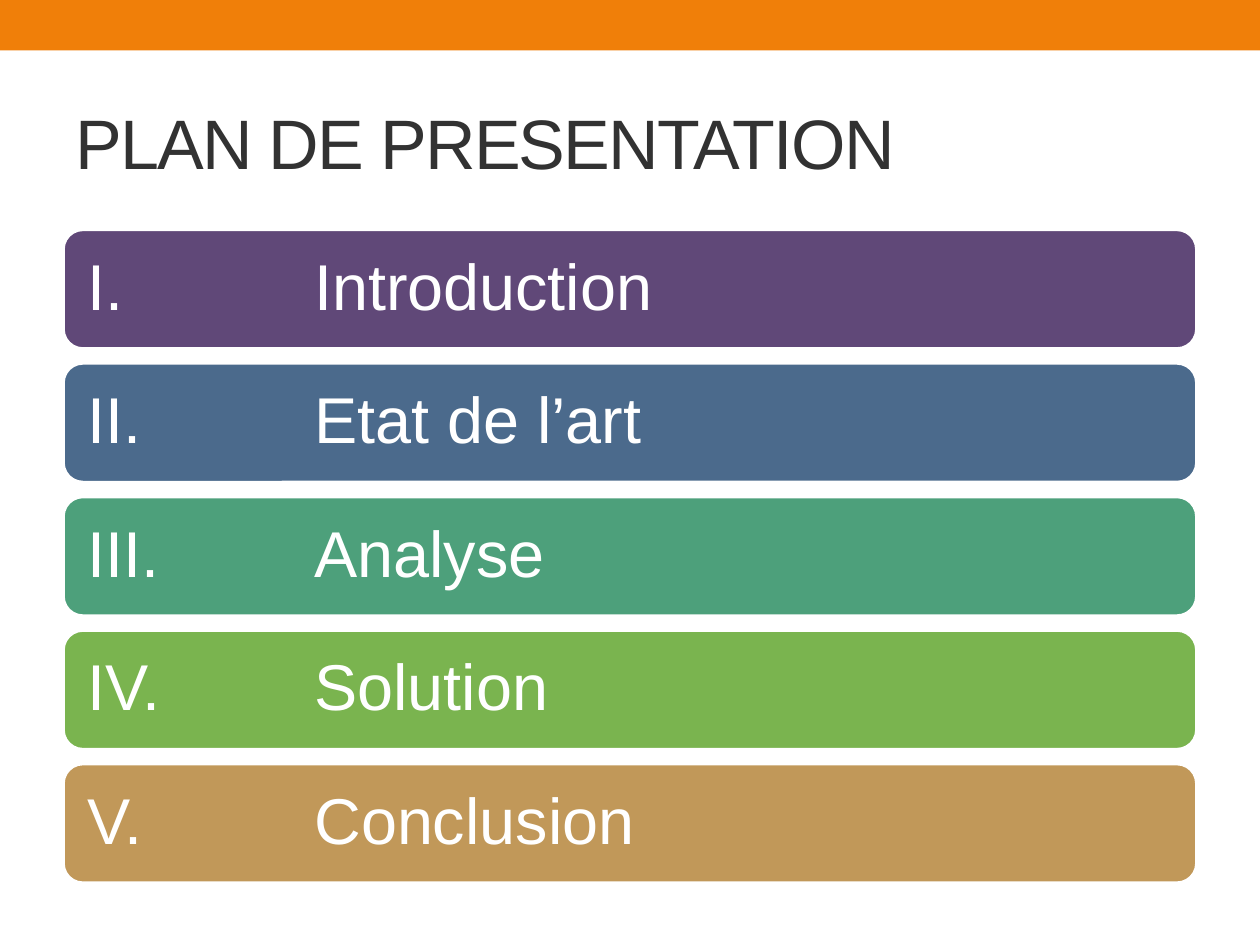
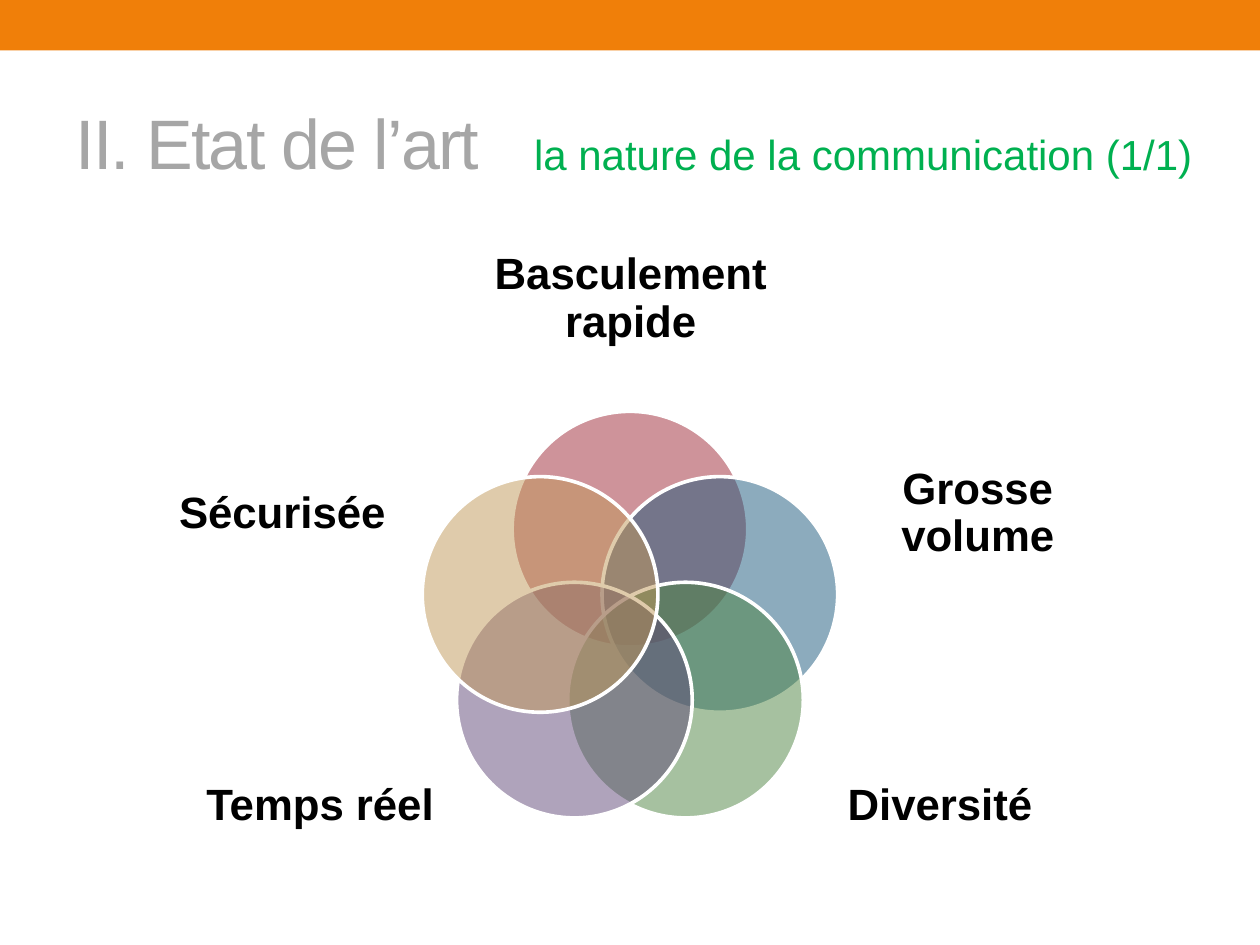
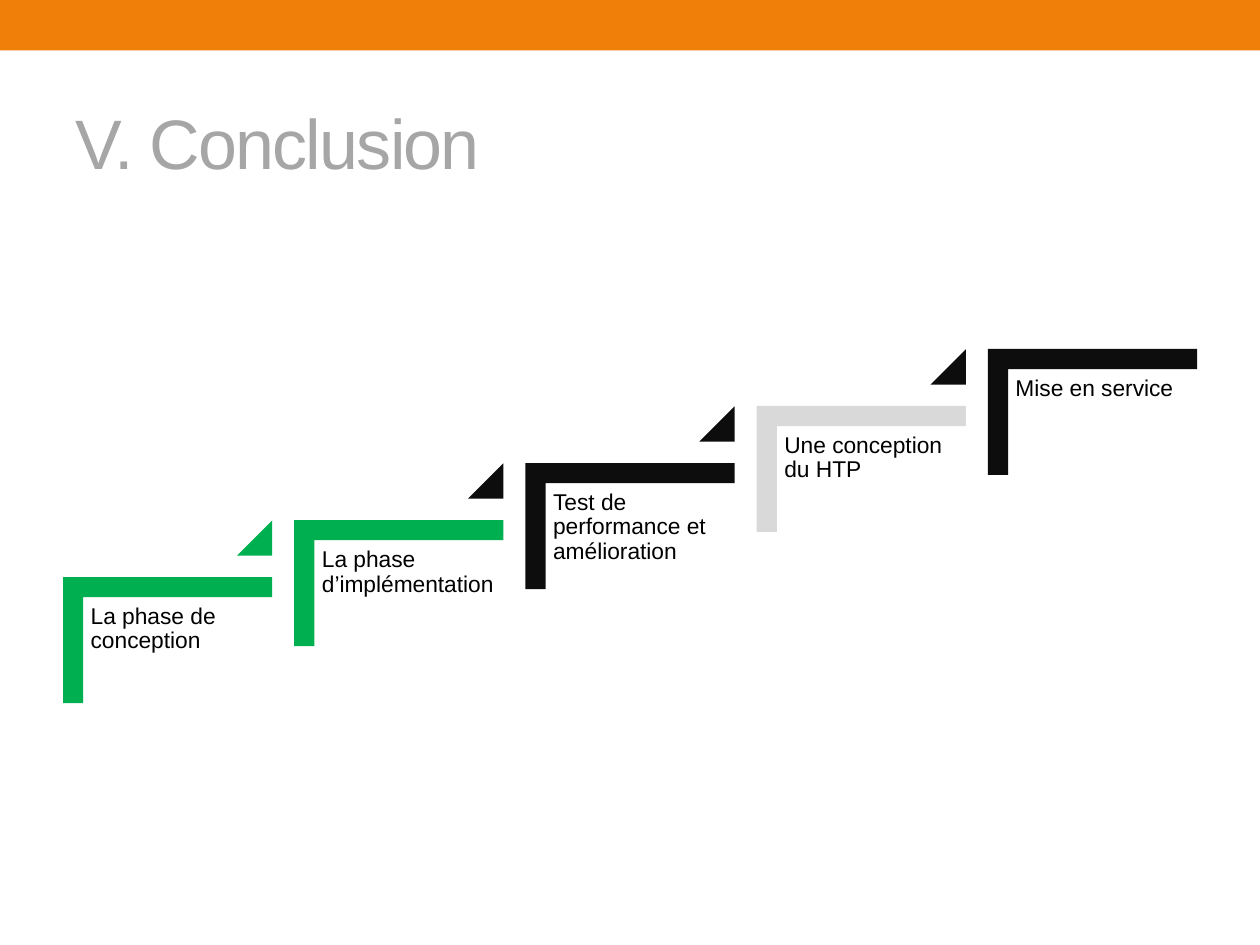
from math import cos, radians, sin

from lxml.etree import SubElement
from pptx import Presentation
from pptx.dml.color import RGBColor
from pptx.enum.shapes import MSO_SHAPE
from pptx.enum.text import MSO_ANCHOR, MSO_AUTO_SIZE, PP_ALIGN
from pptx.oxml.ns import qn
from pptx.util import Inches, Pt

FONT = "Arial"
WHITE = RGBColor(0xFF, 0xFF, 0xFF)
BLACK = RGBColor(0x00, 0x00, 0x00)
ORANGE = RGBColor(0xF0, 0x7F, 0x09)
DARK_GREY = RGBColor(0x32, 0x32, 0x32)
MID_GREY = RGBColor(0xA6, 0xA6, 0xA6)
LIGHT_GREY = RGBColor(0xD9, 0xD9, 0xD9)
NEAR_BLACK = RGBColor(0x0D, 0x0D, 0x0D)
BRIGHT_GREEN = RGBColor(0x00, 0xB0, 0x50)
PURPLE = RGBColor(0x60, 0x48, 0x78)
SLATE = RGBColor(0x4B, 0x6A, 0x8C)
TEAL = RGBColor(0x4D, 0xA0, 0x7B)
LEAF = RGBColor(0x7A, 0xB4, 0x4F)
SAND = RGBColor(0xC1, 0x98, 0x59)
RED = RGBColor(0x9F, 0x29, 0x36)
NAVY = RGBColor(0x1B, 0x58, 0x7C)
GREEN = RGBColor(0x4E, 0x85, 0x42)

PLAN_TITLE = "PLAN DE PRESENTATION"
PLAN = [
    ("I.", "Introduction", PURPLE),
    ("II.", "Etat de l’art", SLATE),
    ("III.", "Analyse", TEAL),
    ("IV.", "Solution", LEAF),
    ("V.", "Conclusion", SAND),
]

NATURE_TITLE = "II. Etat de l’art"
NATURE_SUBTITLE = "la nature de la communication (1/1)"
# Clockwise from the top: label, circle colour, label box
QUALITIES = [
    ("Basculement rapide", RED, (3.92, 1.75, 2.17, 1.25)),
    ("Grosse volume", NAVY, (6.79, 3.4, 1.94, 1.36)),
    ("Diversité", GREEN, (6.49, 5.72, 1.94, 1.36)),
    ("Temps réel", PURPLE, (1.57, 5.72, 1.94, 1.36)),
    ("Sécurisée", SAND, (1.27, 3.4, 1.94, 1.36)),
]

CONCLUSION_TITLE = "V. Conclusion"
# Phase, colour of its step, colour of the triangle that leads on
PHASES = [
    ("La phase de conception", BRIGHT_GREEN, BRIGHT_GREEN),
    ("La phase d’implémentation", BRIGHT_GREEN, NEAR_BLACK),
    ("Test de performance et amélioration", NEAR_BLACK, NEAR_BLACK),
    ("Une conception du HTP", LIGHT_GREY, NEAR_BLACK),
    ("Mise en service", NEAR_BLACK, None),
]


def inches(*lengths):
    return [Inches(length) for length in lengths]


def add_figure(slide, preset, box, fill, outline=None):
    figure = slide.shapes.add_shape(preset, *inches(*box))
    figure.shadow.inherit = False
    figure.fill.solid()
    figure.fill.fore_color.rgb = fill
    if outline is None:
        figure.line.fill.background()
    else:
        figure.line.color.rgb = outline
        figure.line.width = Pt(2.08)
    return figure


def write(shape, text, size, color, align=PP_ALIGN.LEFT, bold=False):
    paragraph = shape.text_frame.paragraphs[0]
    paragraph.alignment = align
    run = paragraph.add_run()
    run.text = text
    run.font.name = FONT
    run.font.size = Pt(size)
    run.font.bold = bold
    run.font.color.rgb = color
    return run


def set_frame(shape, margin, anchor):
    """Wrap the text with equal margins and tight lines."""
    frame = shape.text_frame
    frame.word_wrap = True
    frame.vertical_anchor = anchor
    frame.margin_left = frame.margin_right = Inches(margin)
    frame.margin_top = frame.margin_bottom = Inches(margin)
    frame.paragraphs[0].line_spacing = 0.9


def add_label(slide, box, text, size, margin=0, anchor=MSO_ANCHOR.MIDDLE, **style):
    label = slide.shapes.add_textbox(*inches(*box))
    set_frame(label, margin, anchor)
    write(label, text, size, BLACK, **style)


def add_titled_slide(prs, layout, title_text, color):
    slide = prs.slides.add_slide(layout)
    title = slide.shapes.title
    title.text_frame.vertical_anchor = MSO_ANCHOR.MIDDLE
    run = write(title, title_text, 40, color)
    run.font._element.set("spc", "-100")
    return slide


def share_layout(layout, slide):
    """Place the title and the top band on the layout, behind all content."""
    title = layout.placeholders[0]
    title.left, title.top, title.width, title.height = inches(0.5, 0.58, 9, 1.08)
    band = add_figure(slide, MSO_SHAPE.RECTANGLE, (0, 0, 10, 0.4), ORANGE)
    layout.shapes.element.insert(2, band.element)


def draw_plan(slide):
    top, pitch, height = 1.82, 1.06, 0.95
    for row, (number, name, color) in enumerate(PLAN):
        bar = add_figure(slide, MSO_SHAPE.ROUNDED_RECTANGLE,
                         (0.5, top + row * pitch, 9, height), color, WHITE)
        set_frame(bar, 0.15, MSO_ANCHOR.MIDDLE)
        write(bar, f"{number}\t{name}", 37, WHITE)
        properties = bar.text_frame.paragraphs[0]._p.get_or_add_pPr()
        stops = SubElement(properties, qn("a:tabLst"))
        SubElement(stops, qn("a:tab"), pos=str(Inches(1.8)), algn="l")


def draw_qualities(slide):
    center_x, center_y, ring, diameter = 5, 4.95, 0.75, 1.87
    for index, (quality, color, label_box) in enumerate(QUALITIES):
        angle = radians(index * 360 / len(QUALITIES))
        left = center_x + ring * sin(angle) - diameter / 2
        top = center_y - ring * cos(angle) - diameter / 2
        circle = add_figure(slide, MSO_SHAPE.OVAL,
                            (left, top, diameter, diameter), color, WHITE)
        fill_color = circle.element.spPr.find(qn("a:solidFill"))[0]
        SubElement(fill_color, qn("a:alpha"), val="50000")
        add_label(slide, label_box, quality, 25, align=PP_ALIGN.CENTER, bold=True)

    subtitle = slide.shapes.add_textbox(*inches(4.14, 0.97, 5.48, 0.5))
    subtitle.text_frame.word_wrap = False
    subtitle.text_frame.auto_size = MSO_AUTO_SIZE.SHAPE_TO_FIT_TEXT
    write(subtitle, NATURE_SUBTITLE, 24, BRIGHT_GREEN)


def draw_phases(slide):
    step_width, step_height, thickness = 1.66, 1, 0.16
    first_left, first_top, last_left, last_top = 0.5, 4.58, 7.84, 2.77
    turn = (step_width - step_height) / 2
    for index, (phase, color, next_color) in enumerate(PHASES):
        progress = index / (len(PHASES) - 1)
        left = first_left + progress * (last_left - first_left)
        top = first_top + progress * (last_top - first_top)
        step = add_figure(slide, MSO_SHAPE.CORNER,
                          (left + turn, top - turn, step_height, step_width), color)
        step.rotation = 90
        step.adjustments[0] = step.adjustments[1] = thickness
        add_label(slide, (left + 0.17, top + 0.17, 1.5, 1.31), phase, 13,
                  margin=0.05, anchor=MSO_ANCHOR.TOP)
        if next_color is not None:
            triangle = add_figure(slide, MSO_SHAPE.ISOSCELES_TRIANGLE,
                                  (left + 1.38, top - 0.45, 0.28, 0.28), next_color)
            triangle.adjustments[0] = 1


def main():
    prs = Presentation()
    prs.slide_width, prs.slide_height = inches(10, 7.5)
    layout = prs.slide_layouts.get_by_name("Title Only")

    plan = add_titled_slide(prs, layout, PLAN_TITLE, DARK_GREY)
    share_layout(layout, plan)
    draw_plan(plan)
    draw_qualities(add_titled_slide(prs, layout, NATURE_TITLE, MID_GREY))
    draw_phases(add_titled_slide(prs, layout, CONCLUSION_TITLE, MID_GREY))
    prs.save("out.pptx")


if __name__ == "__main__":
    main()
